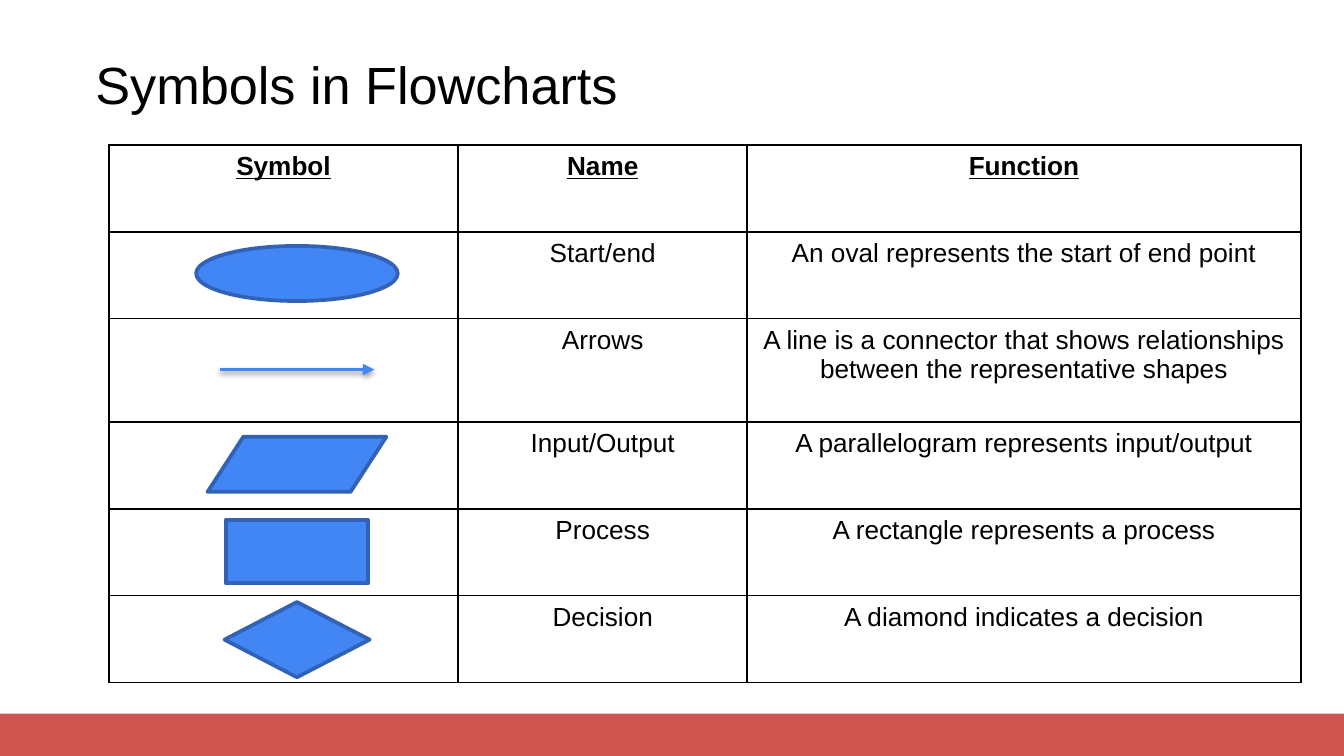
import pptx
import pptx.util
import pptx.dml.color
import pptx.enum.shapes
import pptx.enum.text
import pptx.oxml
import pptx.oxml.ns

Inches, Pt = pptx.util.Inches, pptx.util.Pt
SHAPE = pptx.enum.shapes.MSO_SHAPE
COLORS = {"text": "000000", "border": "000000", "cell": "FFFFFF", "band": "CD544F",
          "symbol": "4285F4", "outline": "3162B5"}
FONT = "Arial"
TITLE = "Symbols in Flowcharts"
ROWS = [
    ("Symbol", "Name", "Function"),
    ("", "Start/end", "An oval represents the start of end point"),
    ("", "Arrows", "A line is a connector that shows relationships between the representative shapes"),
    ("", "Input/Output", "A parallelogram represents input/output"),
    ("", "Process", "A rectangle represents a process"),
    ("", "Decision", "A diamond indicates a decision"),
]
SLIDE_WIDTH = 10
SLIDE_HEIGHT = SLIDE_WIDTH * 9 / 16
COL_WIDTHS = [2.6, 2.15, 4.12]
TABLE_LEFT, TABLE_TOP, TABLE_HEIGHT = 0.81, 1.08, 4
TALL_ROW, TALL_HEIGHT = 2, 0.77
ROW_HEIGHT = (TABLE_HEIGHT - TALL_HEIGHT) / (len(ROWS) - 1)
SYMBOL_CENTER = 2.21
SYMBOLS = [
    (SHAPE.OVAL, 1.83, 1.5, 0.41),
    (SHAPE.FLOWCHART_DATA, 3.25, 1.33, 0.41),
    (SHAPE.FLOWCHART_DECISION, 4.48, 1.08, 0.56),
    (SHAPE.FLOWCHART_PROCESS, 3.87, 1.06, 0.47),
]
ARROW_Y, ARROW_LENGTH = 2.75, 1.15


def rgb(name):
    return pptx.dml.color.RGBColor.from_string(COLORS[name])


def xml(tag, body):
    ns = pptx.oxml.ns.nsdecls("a")
    return pptx.oxml.parse_xml(f"<a:{tag} {ns}{body}")


def add_run(p, text, size, bold=False, underline=False):
    r = p.add_run()
    r.text = text
    r.font.name, r.font.size = FONT, Pt(size)
    r.font.bold, r.font.underline = bold, underline
    r.font.color.rgb = rgb("text")


def add_shape(s, kind, left, top, width, height, fill, line=None):
    sp = s.shapes.add_shape(kind, Inches(left), Inches(top), Inches(width), Inches(height))
    sp.shadow.inherit = False
    sp.fill.solid()
    sp.fill.fore_color.rgb = rgb(fill)
    if line:
        sp.line.color.rgb = rgb(line)
        sp.line.width = Pt(2)
    else:
        sp.line.fill.background()


def add_title(s):
    sp = s.shapes.add_textbox(Inches(0.69), Inches(0.15), Inches(8.61), Inches(0.94))
    tf = sp.text_frame
    tf.word_wrap = True
    tf.vertical_anchor = pptx.enum.text.MSO_ANCHOR.MIDDLE
    tf.margin_left = tf.margin_right = tf.margin_top = tf.margin_bottom = Inches(0.02)
    add_run(tf.paragraphs[0], TITLE, 28)


def style_cell(cell):
    cell.fill.solid()
    cell.fill.fore_color.rgb = rgb("cell")
    tc_pr = cell._tc.get_or_add_tcPr()
    for i, side in enumerate(("lnL", "lnR", "lnT", "lnB")):
        tc_pr.insert(i, xml(side, f' w="{Pt(1)}"><a:solidFill><a:srgbClr val="{COLORS["border"]}"/>'
                                  f'</a:solidFill></a:{side}>'))


def add_table(s):
    frame = s.shapes.add_table(len(ROWS), len(COL_WIDTHS), Inches(TABLE_LEFT), Inches(TABLE_TOP),
                               Inches(sum(COL_WIDTHS)), Inches(TABLE_HEIGHT))
    table = frame.table
    table.horz_banding = False
    for col, width in zip(table.columns, COL_WIDTHS):
        col.width = Inches(width)
    for i, texts in enumerate(ROWS):
        table.rows[i].height = Inches(TALL_HEIGHT if i == TALL_ROW else ROW_HEIGHT)
        for j, text in enumerate(texts):
            cell = table.cell(i, j)
            style_cell(cell)
            if text:
                p = cell.text_frame.paragraphs[0]
                p.alignment = pptx.enum.text.PP_ALIGN.CENTER
                add_run(p, text, 14, bold=i == 0, underline=i == 0)


def add_arrow(s):
    left, right = SYMBOL_CENTER - ARROW_LENGTH / 2, SYMBOL_CENTER + ARROW_LENGTH / 2
    line = s.shapes.add_connector(pptx.enum.shapes.MSO_CONNECTOR.STRAIGHT, Inches(left),
                                  Inches(ARROW_Y), Inches(right), Inches(ARROW_Y))
    line.line.color.rgb = rgb("symbol")
    line.line.width = Pt(2)
    line.line._get_or_add_ln().append(xml("tailEnd", ' type="triangle"/>'))
    sp_pr = line._element.spPr
    sp_pr.append(xml("effectLst", f'><a:outerShdw blurRad="{Pt(3.1)}" dist="{Pt(1.6)}" dir="5400000" '
                                  'rotWithShape="0"><a:srgbClr val="000000"><a:alpha val="38000"/>'
                                  '</a:srgbClr></a:outerShdw></a:effectLst>'))


def main():
    prs = pptx.Presentation()
    prs.slide_width, prs.slide_height = Inches(SLIDE_WIDTH), Inches(SLIDE_HEIGHT)
    s = prs.slides.add_slide(prs.slide_layouts[6])
    add_shape(s, SHAPE.RECTANGLE, -0.01, 5.31, 10.01, SLIDE_HEIGHT - 5.31, "band")
    add_title(s)
    add_table(s)
    add_arrow(s)
    for kind, top, width, height in SYMBOLS:
        add_shape(s, kind, SYMBOL_CENTER - width / 2, top, width, height, "symbol", "outline")
    prs.save("out.pptx")


if __name__ == "__main__":
    main()
